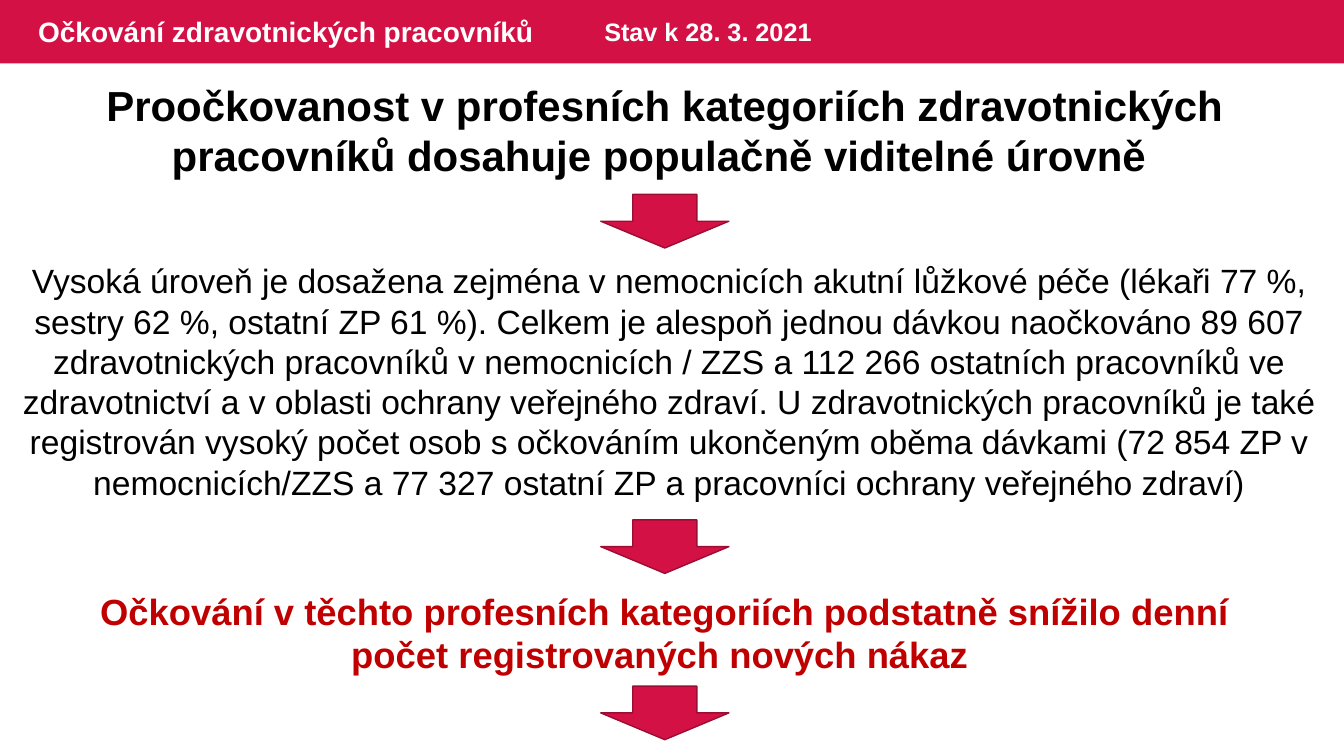
"""Build a slide on the vaccination of health workers."""
from dataclasses import dataclass

from pptx import Presentation
from pptx.dml.color import RGBColor
from pptx.enum.shapes import MSO_SHAPE
from pptx.enum.text import MSO_ANCHOR, PP_ALIGN
from pptx.util import Cm, Pt

RECTANGLE, DOWN_ARROW = MSO_SHAPE.RECTANGLE, MSO_SHAPE.DOWN_ARROW
TOP, MIDDLE = MSO_ANCHOR.TOP, MSO_ANCHOR.MIDDLE
LEFT, CENTER = PP_ALIGN.LEFT, PP_ALIGN.CENTER


@dataclass(frozen=True)
class Theme:
    """Colours, font and type sizes of the slide."""
    font: str = "Arial"
    crimson: RGBColor = RGBColor(0xD3, 0x11, 0x45)
    arrow_line: RGBColor = RGBColor(0x9C, 0x0D, 0x33)
    white: RGBColor = RGBColor(0xFF, 0xFF, 0xFF)
    black: RGBColor = RGBColor(0x00, 0x00, 0x00)
    red: RGBColor = RGBColor(0xC0, 0x00, 0x00)
    title: int = 20
    date: int = 18
    headline: int = 30
    body: int = 24
    conclusion: int = 26


THEME = Theme()
SLIDE_W, SLIDE_H, HEADER_H = 33.87, 19.05, 1.6
ARROW_LEFT, ARROW_W, ARROW_H = 15.14, 3.23, 1.35
ARROW_TOPS = (4.9, 13.1, 17.29)

HEADLINE = ("Proočkovanost v profesních kategoriích zdravotnických pracovníků "
            "dosahuje populačně viditelné úrovně ")
BODY = ("Vysoká úroveň je dosažena zejména v nemocnicích akutní lůžkové péče "
        "(lékaři 77 %, sestry 62 %, ostatní ZP 61 %). Celkem je alespoň jednou "
        "dávkou naočkováno 89 607 zdravotnických pracovníků v nemocnicích / ZZS "
        "a 112 266 ostatních pracovníků ve zdravotnictví a v oblasti ochrany "
        "veřejného zdraví. U zdravotnických pracovníků je také registrován vysoký "
        "počet osob s očkováním ukončeným oběma dávkami (72 854 ZP v "
        "nemocnicích/ZZS a 77 327 ostatní ZP a pracovníci ochrany veřejného zdraví)")
CONCLUSION = ("Očkování v těchto profesních kategoriích podstatně snížilo denní "
              "počet registrovaných nových nákaz ")


def add_block(s, kind, left, top, width, height, line=None):
    """Add a crimson shape, outlined only if a line colour is given."""
    sp = s.shapes.add_shape(kind, Cm(left), Cm(top), Cm(width), Cm(height))
    sp.shadow.inherit = False
    sp.fill.solid()
    sp.fill.fore_color.rgb = THEME.crimson
    if line is None:
        sp.line.fill.background()
    else:
        sp.line.color.rgb = line
        sp.line.width = Pt(1)


def add_text(s, text, left, top, width, height, size, color,
             bold=True, align=CENTER, anchor=TOP):
    """Add a wrapped text box with one paragraph."""
    tb = s.shapes.add_textbox(Cm(left), Cm(top), Cm(width), Cm(height))
    tf = tb.text_frame
    tf.word_wrap = True
    tf.vertical_anchor = anchor
    p = tf.paragraphs[0]
    p.text = text
    p.alignment = align
    p.font.name = THEME.font
    p.font.size = Pt(size)
    p.font.bold = bold
    p.font.color.rgb = color


def add_header(s):
    """Add the header band with the title and the date."""
    add_block(s, RECTANGLE, 0, 0, SLIDE_W, HEADER_H)
    add_text(s, "Očkování zdravotnických pracovníků", 0.71, 0, 14, HEADER_H,
             THEME.title, THEME.white, align=LEFT, anchor=MIDDLE)
    add_text(s, "Stav k 28. 3. 2021", 14.98, 0.28, 7.52, 1.02,
             THEME.date, THEME.white, align=LEFT)


def main():
    """Build and save the slide."""
    prs = Presentation()
    prs.slide_width, prs.slide_height = Cm(SLIDE_W), Cm(SLIDE_H)
    s = prs.slides.add_slide(prs.slide_layouts[6])
    add_header(s)
    add_text(s, HEADLINE, 1.22, 1.88, 31.09, 2.82, THEME.headline, THEME.black)
    add_text(s, BODY, 0.3, 6.43, 33.12, 6.4, THEME.body, THEME.black, bold=False)
    add_text(s, CONCLUSION, 1.22, 14.71, 31.09, 2.49, THEME.conclusion, THEME.red)
    for top in ARROW_TOPS:
        add_block(s, DOWN_ARROW, ARROW_LEFT, top, ARROW_W, ARROW_H, THEME.arrow_line)
    prs.save("out.pptx")


if __name__ == "__main__":
    main()
